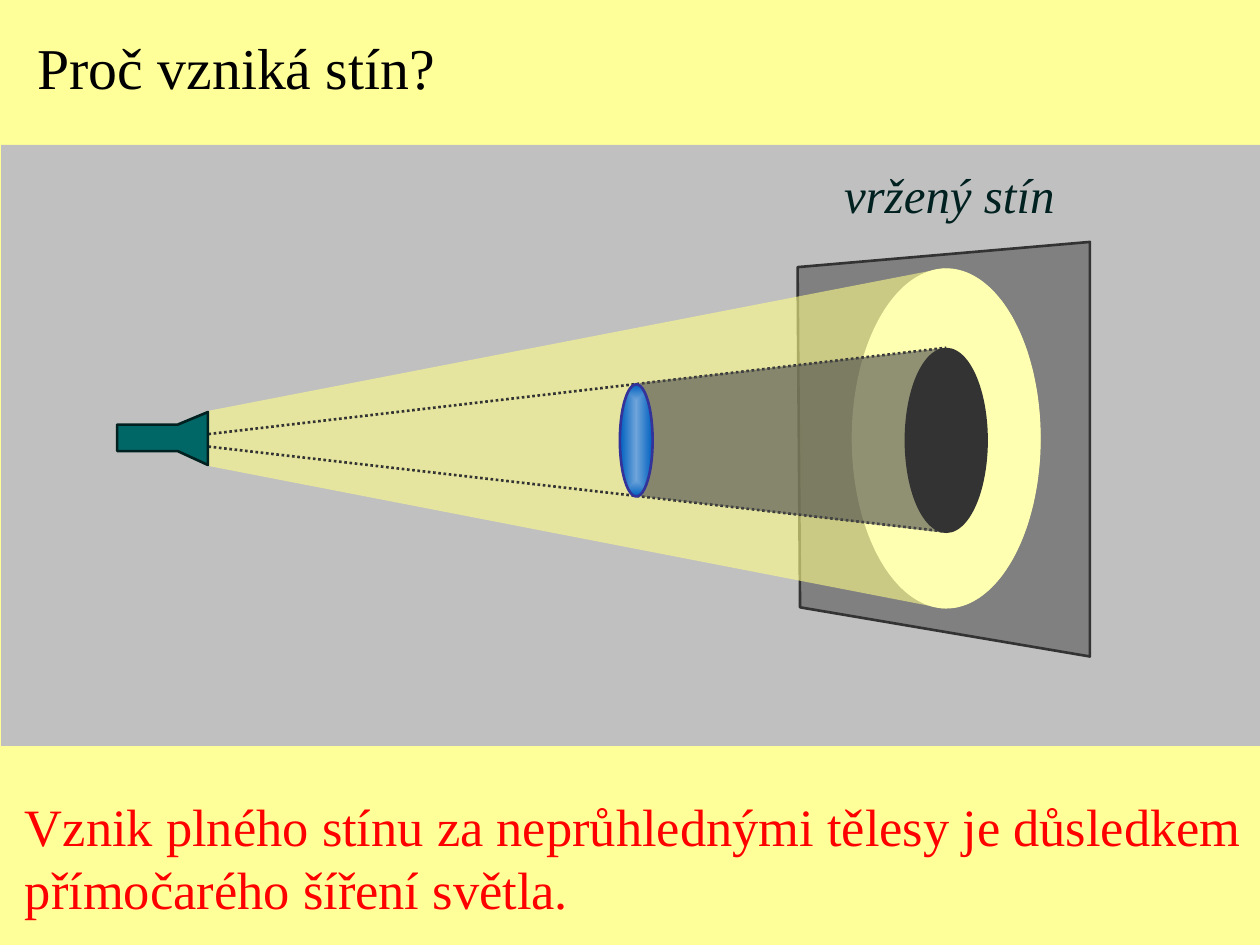
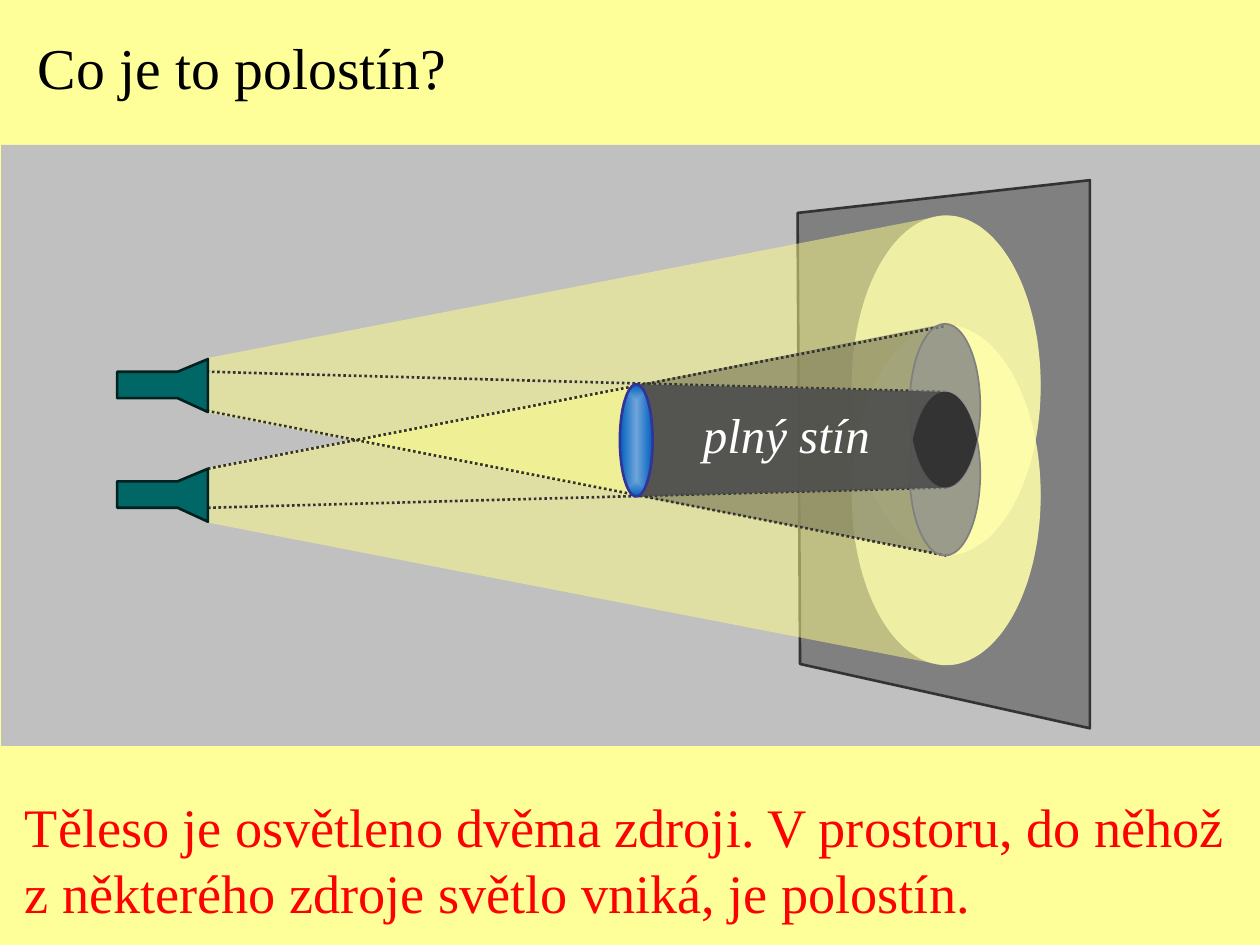
from collections import namedtuple
from math import asin, cos, degrees, radians, sin

from lxml.etree import SubElement
from pptx import Presentation
from pptx.dml.color import RGBColor
from pptx.enum.dml import MSO_LINE
from pptx.enum.shapes import MSO_CONNECTOR as CONNECTOR, MSO_SHAPE as SHAPE
from pptx.enum.text import MSO_AUTO_SIZE as AUTO_SIZE
from pptx.oxml.ns import qn
from pptx.util import Inches, Pt

COLORS = {
    "page": "FFFF99", "stage": "C0C0C0", "board": "808080", "edge": "333333",
    "title": "000000", "caption": "FF0000", "dark_green": "002120", "lamp": "006666",
    "beam": "FFFF89", "spot": "FFFFB1", "shade": "4D4D4D", "umbra": "333333",
    "penumbra": "969696", "penumbra_edge": "808080", "white": "FFFFFF",
    "body_light": "6FA5DA", "body_dark": "0060C0", "body_edge": "333399",
}
FONT = "Times New Roman"

Box = namedtuple("Box", "left top width height")
STAGE = Box(0.01, 1.15, 9.99, 4.77)
TITLE = Box(0.2, 0.2, 3.6, 0.65)
CAPTION = Box(0.1, 6.25, 9.9, 1.1)


def inside(box, left, top, width, height):
    return Box(box.left + left, box.top + top, width, height)


def color(name):
    return RGBColor.from_string(COLORS[name])


# Basic parts

def paint(shape, fill, opacity=100, edge=None, edge_width=1.5):
    shape.shadow.inherit = False
    shape.fill.solid()
    shape.fill.fore_color.rgb = color(fill)
    if opacity < 100:
        rgb = shape.fill._xPr.find(qn("a:solidFill")).find(qn("a:srgbClr"))
        SubElement(rgb, qn("a:alpha")).set("val", str(opacity * 1000))
    if edge:
        shape.line.color.rgb = color(edge)
        shape.line.width = Pt(edge_width)
    else:
        shape.line.fill.background()


def preset(slide, kind, box, fill, **look):
    shape = slide.shapes.add_shape(kind, *map(Inches, box))
    paint(shape, fill, **look)
    return shape


def outline(slide, box, points, fill, **look):
    corners = [(Inches(box.left + x), Inches(box.top + y)) for x, y in points]
    builder = slide.shapes.build_freeform(*corners[0], scale=1.0)
    builder.add_line_segments(corners[1:], close=True)
    paint(builder.convert_to_shape(), fill, **look)


def arc(center_x, center_y, radius_x, radius_y, start, end, steps=24):
    angles = [radians(start + (end - start) * i / steps) for i in range(steps + 1)]
    return [(center_x + radius_x * cos(a), center_y + radius_y * sin(a)) for a in angles]


def write(slide, box, text, size, ink, italic=False):
    frame = slide.shapes.add_textbox(*map(Inches, box)).text_frame
    frame.word_wrap = False
    frame.auto_size = AUTO_SIZE.SHAPE_TO_FIT_TEXT
    for i, line in enumerate(text.split("\n")):
        paragraph = frame.add_paragraph() if i else frame.paragraphs[0]
        run = paragraph.add_run()
        run.text = line
        run.font.name = FONT
        run.font.size = Pt(size)
        run.font.italic = italic
        run.font.color.rgb = color(ink)


# Parts of the experiment

def draw_board(slide, box, left_top, left_bottom):
    corners = [(box.width, 0), (box.width, box.height), (0.02, left_bottom), (0, left_top)]
    outline(slide, box, corners, "board", edge="edge")


def draw_beam(slide, stage, axis, beam_opacity, spot_opacity):
    box = inside(stage, 1.65, axis - 1.35, 6.6, 2.7)
    rim = arc(5.85, 1.35, 0.75, 1.35, -92, 92)
    outline(slide, box, [(0, 1.13), *rim, (0, 1.57)], "beam", opacity=beam_opacity)
    preset(slide, SHAPE.OVAL, inside(box, 5.1, 0, 1.5, 2.7), "spot", opacity=spot_opacity)


def draw_lamp(slide, stage, axis):
    box = inside(stage, 0.92, axis - 0.21, 0.72, 0.42)
    corners = [(0, 0.1), (0.48, 0.1), (0.72, 0), (0.72, 0.42), (0.48, 0.31), (0, 0.31)]
    outline(slide, box, corners, "lamp", edge="dark_green")


def draw_rays(slide, stage, rays):
    for x1, y1, x2, y2 in rays:
        ray = slide.shapes.add_connector(
            CONNECTOR.STRAIGHT,
            Inches(stage.left + x1), Inches(stage.top + y1),
            Inches(stage.left + x2), Inches(stage.top + y2))
        ray.line.color.rgb = color("edge")
        ray.line.width = Pt(1.5)
        ray.line.dash_style = MSO_LINE.ROUND_DOT
        SubElement(ray._element.spPr, qn("a:effectLst"))


def draw_body(slide, stage):
    body = preset(slide, SHAPE.OVAL, inside(stage, 4.91, 1.9, 0.26, 0.89),
                  "body_dark", edge="body_edge")
    body.fill.gradient()
    for stop, name in zip(body.fill.gradient_stops, ("body_light", "body_dark")):
        stop.color.rgb = color(name)
    # Gradient that spreads from the centre
    gradient = body.fill._xPr.find(qn("a:gradFill"))
    gradient.remove(gradient.find(qn("a:lin")))
    spread = SubElement(gradient, qn("a:path"))
    spread.set("path", "rect")
    center = SubElement(spread, qn("a:fillToRect"))
    for side in "ltrb":
        center.set(side, "50000")


def draw_shadow(slide, stage):
    cone = [(5.07, 1.89), (7.5, 1.61), (7.5, 3.08), (5.07, 2.79)]
    outline(slide, stage, cone, "shade", opacity=62)
    preset(slide, SHAPE.OVAL, inside(stage, 7.18, 1.62, 0.64, 1.45), "umbra", edge="edge")


# Slides

def new_slide(deck, title, caption, caption_size):
    slide = deck.slides.add_slide(deck.slide_layouts[6])
    slide.background.fill.solid()
    slide.background.fill.fore_color.rgb = color("page")
    preset(slide, SHAPE.RECTANGLE, STAGE, "stage")
    write(slide, TITLE, title, 33, "title")
    write(slide, CAPTION, caption, caption_size, "caption")
    return slide


def build_shadow_slide(deck, stage):
    slide = new_slide(
        deck, "Proč vzniká stín?",
        "Vznik plného stínu za neprůhlednými tělesy je důsledkem\npřímočarého šíření světla.", 30)
    axis = 2.33
    draw_board(slide, inside(stage, 6.32, 0.77, 2.32, 3.29), 0.2, 2.9)
    write(slide, inside(stage, 6.59, 0.11, 1.95, 0.57), "vržený stín", 28, "dark_green",
          italic=True)
    draw_beam(slide, stage, axis, 59, 100)
    draw_rays(slide, stage, [(1.52, 2.31, 7.5, 1.61), (1.52, 2.38, 7.5, 3.07)])
    draw_lamp(slide, stage, axis)
    draw_shadow(slide, stage)
    draw_body(slide, stage)


def build_penumbra_slide(deck, stage):
    slide = new_slide(
        deck, "Co je to polostín?",
        "Těleso je osvětleno dvěma zdroji. V prostoru, do něhož\n"
        "z některého zdroje světlo vniká, je polostín.", 31)
    axes = (1.91, 2.78)
    draw_board(slide, inside(stage, 6.32, 0.28, 2.32, 4.35), 0.26, 3.84)
    for axis in axes:
        draw_beam(slide, stage, axis, 50, 75)

    # Two equal shadow ellipses; they cross at the angle "crossing"
    center_x, radius_x, radius_y = 7.49, 0.28, 0.65
    upper_y, lower_y = 2.07, 2.61
    upper = (center_x, upper_y, radius_x, radius_y)
    lower = (center_x, lower_y, radius_x, radius_y)
    crossing = degrees(asin((lower_y - upper_y) / 2 / radius_y))
    body_top, body_bottom = (5.07, 1.9), (5.07, 2.79)

    union = arc(*upper, -90, crossing) + arc(*lower, -crossing, 90)
    outline(slide, stage, [body_top, *union, body_bottom], "shade", opacity=50)
    draw_rays(slide, stage, [(1.63, 1.8, 7.5, 1.96), (1.63, 2.11, 7.5, 3.26),
                             (1.64, 2.88, 7.5, 2.72), (1.64, 2.57, 7.48, 1.44)])
    for center_y in (lower_y, upper_y):
        spot = inside(stage, center_x - radius_x, center_y - radius_y,
                      2 * radius_x, 2 * radius_y)
        preset(slide, SHAPE.OVAL, spot, "penumbra", opacity=60,
               edge="penumbra_edge", edge_width=1)
    for axis in axes:
        draw_lamp(slide, stage, axis)

    # Full shadow: where both ellipses overlap
    overlap = arc(*lower, -90, -crossing) + arc(*upper, crossing, 90)
    outline(slide, stage, [body_top, *overlap, body_bottom], "shade", opacity=90)
    draw_body(slide, stage)
    lens = arc(*lower, crossing - 180, -crossing) + arc(*upper, crossing, 180 - crossing)
    outline(slide, stage, lens, "umbra")
    write(slide, inside(stage, 5.47, 2.01, 1.6, 0.57), "plný stín", 28, "white", italic=True)


def main():
    deck = Presentation()
    deck.slide_width, deck.slide_height = Inches(10), Inches(7.5)
    build_shadow_slide(deck, STAGE)
    build_penumbra_slide(deck, STAGE)
    deck.save("out.pptx")


if __name__ == "__main__":
    main()
